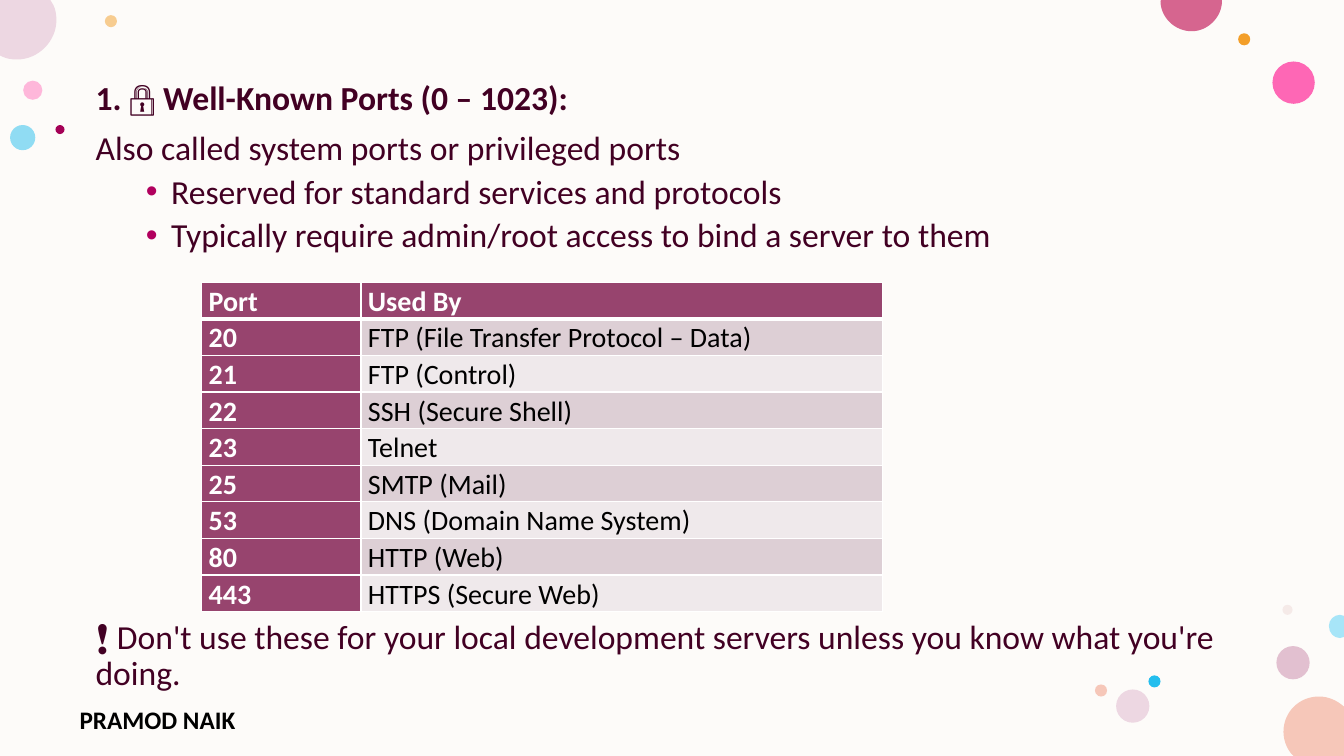
from dataclasses import dataclass

from lxml import etree
from pptx import Presentation
from pptx import util as u
from pptx.dml.color import RGBColor
from pptx.enum import shapes, text
from pptx.oxml.ns import qn

PX = 9144  # EMU per px, 100 px to the inch
W, H = 1333, 750


@dataclass(frozen=True)
class Theme:
    font: str = "Calibri"
    paper: str = "FDFBF9"
    ink: str = "420023"
    black: str = "000000"
    white: str = "FFFFFF"
    bullet: str = "B1005E"
    head: str = "97446E"
    bands: tuple = ("DDCFD5", "EFE9EB")
    pink: str = "FF75BD"
    hot: str = "FF2F9C"
    rose: str = "D6658F"
    orange: str = "F39E29"
    mauve: str = "C987A8"
    lilac: str = "EDD7E2"
    blush: str = "E3BEBE"
    blue: str = "24BEEE"
    sky: str = "A7E5F8"
    peach: str = "F6C7B9"
    plum: str = "A40056"
    body: int = 24
    cell: int = 20
    foot: int = 18


T = Theme()

# left, top, diameter, colour, opacity in percent
DOTS = [
    (23, 80, 19, T.pink, 50), (104, 15, 12, T.orange, 50),
    (1266, 641, 33, T.mauve, 50), (10, 124, 25, T.blue, 50),
    (1262, 61, 42, T.hot, 72), (1228, 33, 12, T.orange, 100),
    (1272, 600, 10, T.blush, 28), (1139, 670, 12, T.blue, 100),
    (1107, 684, 33, T.lilac, 100), (1086, 679, 12, T.peach, 100),
    (55, 124, 9, T.plum, 100),
]
# Circles cut by the slide edge: colour, start point, then segments of
# one point (a line) or three points (a curve)
CUT_DOTS = [
    (T.peach, (1308, 691), [
        [(1318, 691), (1326, 695), (1333, 701)], [(1333, 750)],
        [(1283, 750)], [(1281, 748)],
        [(1276, 742), (1273, 734), (1273, 726)],
        [(1273, 706), (1289, 691), (1308, 691)]]),
    (T.lilac, (0, 0), [
        [(50, 0)], [(53, 5)],
        [(55, 9), (56, 14), (56, 20)],
        [(56, 41), (38, 59), (17, 59)],
        [(11, 59), (6, 58), (2, 56)], [(0, 55)]]),
    (T.rose, (1152, 0), [
        [(1212, 0)], [(1212, 1)],
        [(1212, 17), (1198, 31), (1182, 31)],
        [(1165, 31), (1151, 17), (1151, 1)]]),
    (T.sky, (1329, 610), [
        [(1333, 611)], [(1333, 632)], [(1329, 633)],
        [(1323, 633), (1318, 628), (1318, 621)],
        [(1318, 615), (1323, 610), (1329, 610)]]),
]
PORTS = [
    ("Port", "Used By"),
    ("20", "FTP (File Transfer Protocol – Data)"),
    ("21", "FTP (Control)"),
    ("22", "SSH (Secure Shell)"),
    ("23", "Telnet"),
    ("25", "SMTP (Mail)"),
    ("53", "DNS (Domain Name System)"),
    ("80", "HTTP (Web)"),
    ("443", "HTTPS (Secure Web)"),
]


def emu(*px):
    return [u.Emu(v * PX) for v in px]


def paint(sp, color, opacity=100):
    sp.shadow.inherit = False
    sp.line.fill.background()
    sp.fill.solid()
    sp.fill.fore_color.rgb = RGBColor.from_string(color)
    if opacity < 100:
        clr = sp.fill._xPr.find(f".//{qn('a:srgbClr')}")
        etree.SubElement(clr, qn("a:alpha"), val=str(opacity * 1000))


def curved_shape(s, x, y, start, segments):
    """Build a freeform, then join the points of each curve into a Bézier."""
    pts = [(x + px, y + py) for seg in segments for px, py in seg]
    fb = s.shapes.build_freeform(x + start[0], y + start[1], scale=PX)
    fb.add_line_segments(pts, close=True)
    sp = fb.convert_to_shape()
    lines = iter(list(sp._element.iter(qn("a:lnTo"))))
    for seg in segments:
        first, *rest = [next(lines) for _ in seg]
        if rest:
            first.addprevious(curve := etree.Element(qn("a:cubicBezTo")))
            for ln in (first, *rest):
                curve.append(ln[0])
                ln.getparent().remove(ln)
    return sp


def write(tf, words, size=T.body, color=T.ink, bold=False, before=0,
          spacing=None, bullet=False):
    """Add a paragraph, filling the empty first one if there is one."""
    p = tf.paragraphs[0]
    if p.runs:
        p = tf.add_paragraph()
    p.space_before = u.Pt(before)
    if spacing:
        p.line_spacing = spacing
    if bullet:
        pPr = p._p.get_or_add_pPr()
        pPr.set("marL", str(75 * PX))
        pPr.set("indent", str(-25 * PX))
        clr = etree.SubElement(pPr, qn("a:buClr"))
        etree.SubElement(clr, qn("a:srgbClr"), val=T.bullet)
        etree.SubElement(pPr, qn("a:buFont"), typeface="Arial")
        etree.SubElement(pPr, qn("a:buChar"), char="•")
    r = p.add_run()
    r.text = words
    r.font.name, r.font.size, r.font.bold = T.font, u.Pt(size), bold
    r.font.color.rgb = RGBColor.from_string(color)


def text_box(s, box):
    tf = s.shapes.add_textbox(*emu(*box)).text_frame
    tf.word_wrap = True
    tf.vertical_anchor = text.MSO_ANCHOR.TOP
    return tf


def border(cell, **widths):
    """Set white edges; widths in points by side, in the order L, R, T, B."""
    tcPr = cell._tc.get_or_add_tcPr()
    for i, (side, pt) in enumerate(widths.items()):
        ln = etree.Element(qn(f"a:ln{side}"), w=str(u.Pt(pt)))
        fill = etree.SubElement(ln, qn("a:solidFill"))
        etree.SubElement(fill, qn("a:srgbClr"), val=T.white)
        tcPr.insert(i, ln)


def backdrop(s, box):
    x, y = box[:2]
    paper = s.shapes.add_shape(shapes.MSO_SHAPE.RECTANGLE, *emu(*box))
    paint(paper, T.paper)
    for left, top, d, color, opacity in DOTS:
        dot = s.shapes.add_shape(shapes.MSO_SHAPE.OVAL,
                                 *emu(x + left, y + top, d, d))
        paint(dot, color, opacity)
    for color, start, segments in CUT_DOTS:
        paint(curved_shape(s, x, y, start, segments), color)


def body(s, box):
    tf = text_box(s, box)
    write(tf, "1. 🔒 Well-Known Ports (0 – 1023):", bold=True,
          before=10, spacing=0.9)
    write(tf, "Also called system ports or privileged ports",
          before=10, spacing=0.9)
    for words in ("Reserved for standard services and protocols",
                  "Typically require admin/root access to bind a server to them"):
        write(tf, words, before=5, spacing=0.9, bullet=True)
    # The wide gap leaves room for the table
    write(tf, "❗ Don't use these for your local development servers "
          "unless you know what you're doing.", before=261, spacing=0.9)


def port_table(s, box, cols):
    tbl = s.shapes.add_table(len(PORTS), len(cols), *emu(*box)).table
    for col, width in zip(tbl.columns, cols):
        col.width = u.Emu(width * PX)
    for i, row in enumerate(PORTS):
        for j, words in enumerate(row):
            c = tbl.cell(i, j)
            strong = i == 0 or j == 0
            c.margin_left = c.margin_right = u.Emu(7 * PX)
            c.margin_top = c.margin_bottom = 0
            c.fill.solid()
            c.fill.fore_color.rgb = RGBColor.from_string(
                T.head if strong else T.bands[(i - 1) % 2])
            border(c, L=1, R=1, T=3 if i == 1 else 1, B=3 if i == 0 else 1)
            write(c.text_frame, words, size=T.cell, bold=strong,
                  color=T.white if strong else T.black, spacing=1.07)


def footer(s, box):
    write(text_box(s, box), "PRAMOD NAIK", size=T.foot, color=T.black, bold=True)


def main():
    prs = Presentation()
    prs.slide_width, prs.slide_height = emu(W, H)
    s = prs.slides.add_slide(prs.slide_layouts[6])
    backdrop(s, (0, 0, W, H))
    footer(s, (69, 694, 245, 32))
    body(s, (85, 76, 1166, 626))
    port_table(s, (200, 280, 675, 327), (158, 517))
    prs.save("out.pptx")


if __name__ == "__main__":
    main()
